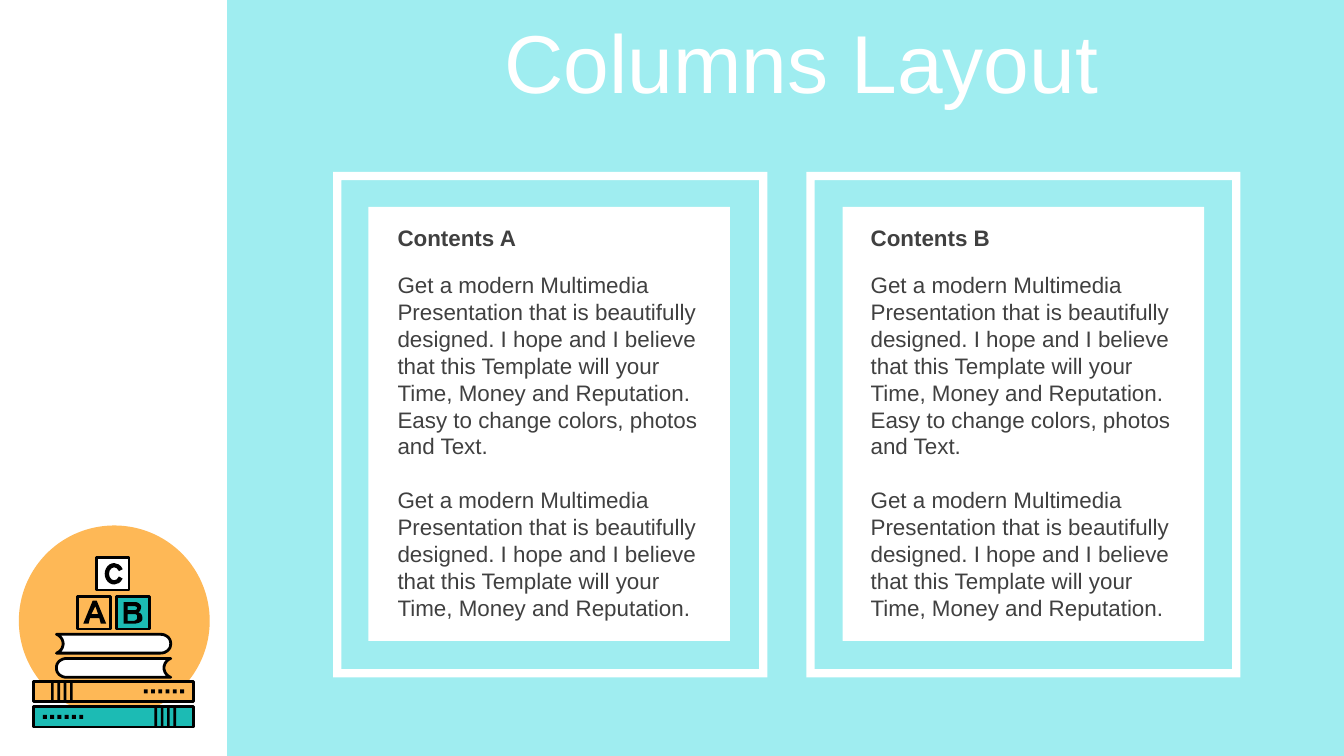
from dataclasses import dataclass

from pptx import Presentation
from pptx.dml.color import RGBColor
from pptx.enum.shapes import MSO_SHAPE
from pptx.enum.text import MSO_ANCHOR, MSO_AUTO_SIZE, PP_ALIGN
from pptx.util import Inches, Pt

RECTANGLE, OVAL = MSO_SHAPE.RECTANGLE, MSO_SHAPE.OVAL
FRAME, BLOCK_ARC = MSO_SHAPE.FRAME, MSO_SHAPE.BLOCK_ARC
MIDDLE, TOP = MSO_ANCHOR.MIDDLE, MSO_ANCHOR.TOP
NO_AUTOFIT = MSO_AUTO_SIZE.NONE
CENTER = PP_ALIGN.CENTER

COLORS = {
    "white": "FFFFFF",
    "aqua": "9FEDF0",
    "orange": "FEB856",
    "teal": "1CBBB4",
    "black": "000000",
    "text": "404040",
}
FONT = "Arial"
PAGE_WIDTH = 10
PAGE_HEIGHT = PAGE_WIDTH * 9 / 16
ICON_AXIS = 0.845  # vertical centre line of the book pile
INTRO = (
    "Get a modern Multimedia Presentation that is beautifully designed. "
    "I hope and I believe that this Template will your Time, Money and Reputation."
)
PARAGRAPHS = [INTRO + " Easy to change colors, photos and Text.", INTRO]


@dataclass
class Column:
    heading: str
    frame_left: float
    card_left: float
    text_left: float


@dataclass
class ClosedBook:
    top: float
    fill: str
    mirrored: bool


@dataclass
class Block:
    left: float
    top: float
    fill: str


COLUMNS = [Column("Contents A", 2.48, 2.74, 2.86), Column("Contents B", 6, 6.27, 6.38)]
CLOSED_BOOKS = [ClosedBook(5.07, "orange", False), ClosedBook(5.26, "teal", True)]
BLOCKS = [Block(0.58, 4.44, "orange"), Block(0.87, 4.44, "teal"), Block(0.72, 4.15, "white")]

# Contours: pairs are line points, sixes are cubic curves (two controls, end)
LETTER_A = [
    [(0.71, 4.51), (0.68, 4.57), (0.73, 4.57)],
    [(0.69, 4.47), (0.72, 4.47), (0.79, 4.64), (0.75, 4.64),
     (0.74, 4.6), (0.67, 4.6), (0.66, 4.64), (0.62, 4.64)],
]
LETTER_B = [
    [(0.95, 4.57), (0.95, 4.62), (1, 4.62), (1.02, 4.61, 1.02, 4.61, 1.02, 4.59),
     (1.02, 4.58, 1.02, 4.57, 1, 4.57)],
    [(0.95, 4.51), (0.95, 4.54), (1, 4.54), (1.01, 4.54, 1.02, 4.54, 1.02, 4.52),
     (1.02, 4.52, 1.01, 4.51, 1, 4.51)],
    [(0.92, 4.48), (1, 4.48), (1.04, 4.48, 1.05, 4.51, 1.05, 4.51),
     (1.05, 4.54, 1.04, 4.55, 1.03, 4.56), (1.05, 4.56, 1.06, 4.58, 1.06, 4.6),
     (1.06, 4.63, 1.03, 4.64, 1, 4.64), (0.92, 4.64)],
]
ROUND_BOOK = [
    [(0.42, 4.72), (1.19, 4.72), (1.24, 4.72, 1.27, 4.75, 1.27, 4.79),
     (1.27, 4.83, 1.24, 4.86, 1.19, 4.86), (0.42, 4.86),
     (0.45, 4.85, 0.47, 4.82, 0.47, 4.79), (0.47, 4.76, 0.45, 4.73, 0.42, 4.72)],
]


def color(name: str) -> RGBColor:
    return RGBColor.from_string(COLORS[name])


def paint(shape, fill: str, outlined: bool = False) -> None:
    shape.shadow.inherit = False
    shape.fill.solid()
    shape.fill.fore_color.rgb = color(fill)
    if outlined:
        shape.line.color.rgb = color("black")
        shape.line.width = Pt(1.5)
    else:
        shape.line.fill.background()


def add_preset(shapes, kind, left: float, top: float, width: float, height: float,
               fill: str, outlined: bool = False):
    shape = shapes.add_shape(kind, Inches(left), Inches(top), Inches(width), Inches(height))
    paint(shape, fill, outlined)
    return shape


def flatten(contour: list, steps: int = 8) -> list:
    """Turn a contour into plain points, sampling each cubic curve."""
    points = []
    for segment in contour:
        if len(segment) == 2:
            points.append(segment)
            continue
        controls = [points[-1], segment[:2], segment[2:4], segment[4:]]
        for step in range(1, steps + 1):
            t = step / steps
            weights = [(1 - t) ** 3, 3 * t * (1 - t) ** 2, 3 * t * t * (1 - t), t ** 3]
            points.append(tuple(
                sum(weight * control[axis] for weight, control in zip(weights, controls))
                for axis in (0, 1)
            ))
    return points


def add_outline(shapes, contours: list, fill: str, outlined: bool = False,
                mirrored: bool = False, drop: float = 0) -> None:
    builder = None
    for contour in contours:
        points = [
            ((2 * ICON_AXIS - x if mirrored else x) * 1000, (y + drop) * 1000)
            for x, y in flatten(contour)
        ]
        if builder is None:
            builder = shapes.build_freeform(*points[0], scale=Inches(1) / 1000)
        else:
            builder.move_to(*points[0])
        builder.add_line_segments(points[1:], close=True)
    paint(builder.convert_to_shape(), fill, outlined)


def add_closed_book(shapes, book: ClosedBook) -> None:
    add_preset(shapes, RECTANGLE, 0.25, book.top, 1.19, 0.15, book.fill, True)
    stripes = [(0.38 + 0.047 * i, 0, 0.02, 0.15) for i in range(4)]
    dots = [(1.07 + 0.054 * i, 0.06, 0.03, 0.03) for i in range(6)]
    for left, drop, width, height in stripes + dots:
        if book.mirrored:
            left = 2 * ICON_AXIS - left - width
        add_preset(shapes, RECTANGLE, left, book.top + drop, width, height, "black")


def add_text(shapes, left: float, top: float, height: float, texts: list[str],
             bold: bool = False) -> None:
    box = shapes.add_textbox(Inches(left), Inches(top), Inches(2.47), Inches(height))
    frame = box.text_frame
    frame.word_wrap = True
    frame.vertical_anchor = TOP
    for index, text in enumerate(texts):
        para = frame.add_paragraph() if index else frame.paragraphs[0]
        para.text = text
        if index:
            para.space_before = Pt(14.4)
        para.font.name, para.font.size, para.font.bold = FONT, Pt(12), bold
        para.font.color.rgb = color("text")


def add_column(shapes, column: Column) -> None:
    border = add_preset(shapes, FRAME, column.frame_left, 1.28, 3.23, 3.76, "white")
    border.adjustments[0] = 0.019
    add_preset(shapes, RECTANGLE, column.card_left, 1.54, 2.69, 3.23, "white")
    add_text(shapes, column.text_left, 1.97, 2.73, PARAGRAPHS)
    add_text(shapes, column.text_left, 1.62, 0.3, [column.heading], bold=True)


def add_book_pile(shapes) -> None:
    add_preset(shapes, OVAL, 0.14, 3.91, 1.42, 1.42, "orange")
    for book in CLOSED_BOOKS:
        add_closed_book(shapes, book)
    for block in BLOCKS:
        add_preset(shapes, RECTANGLE, block.left, block.top, 0.24, 0.24, block.fill, True)
    add_outline(shapes, LETTER_A, "black")
    add_outline(shapes, LETTER_B, "black")
    letter_c = add_preset(shapes, BLOCK_ARC, 0.78, 4.19, 0.14, 0.16, "black")
    for index, value in enumerate((17.567, 198.895, 0.228)):
        letter_c.adjustments[index] = value
    add_outline(shapes, ROUND_BOOK, "white", outlined=True)
    add_outline(shapes, ROUND_BOOK, "white", outlined=True, mirrored=True, drop=0.18)


def set_title(title, text: str) -> None:
    title.left, title.top = Inches(1.93), Inches(0.03)
    title.width, title.height = Inches(8.07), Inches(0.85)
    title.text_frame.auto_size = NO_AUTOFIT
    title.text_frame.vertical_anchor = MIDDLE
    para = title.text_frame.paragraphs[0]
    para.text = text
    para.alignment = CENTER
    para.font.name, para.font.size = FONT, Pt(44)
    para.font.color.rgb = color("white")


def main() -> None:
    deck = Presentation()
    deck.slide_width, deck.slide_height = Inches(PAGE_WIDTH), Inches(PAGE_HEIGHT)
    shapes = deck.slides.add_slide(deck.slide_layouts[5]).shapes

    # Background panel behind the title
    panel = add_preset(shapes, RECTANGLE, 1.69, 0, 8.31, PAGE_HEIGHT, "aqua")
    shapes.title._element.addprevious(panel._element)
    set_title(shapes.title, "Columns Layout")

    # Sidebar illustration and the two text columns
    add_book_pile(shapes)
    for column in COLUMNS:
        add_column(shapes, column)
    deck.save("out.pptx")


if __name__ == "__main__":
    main()
